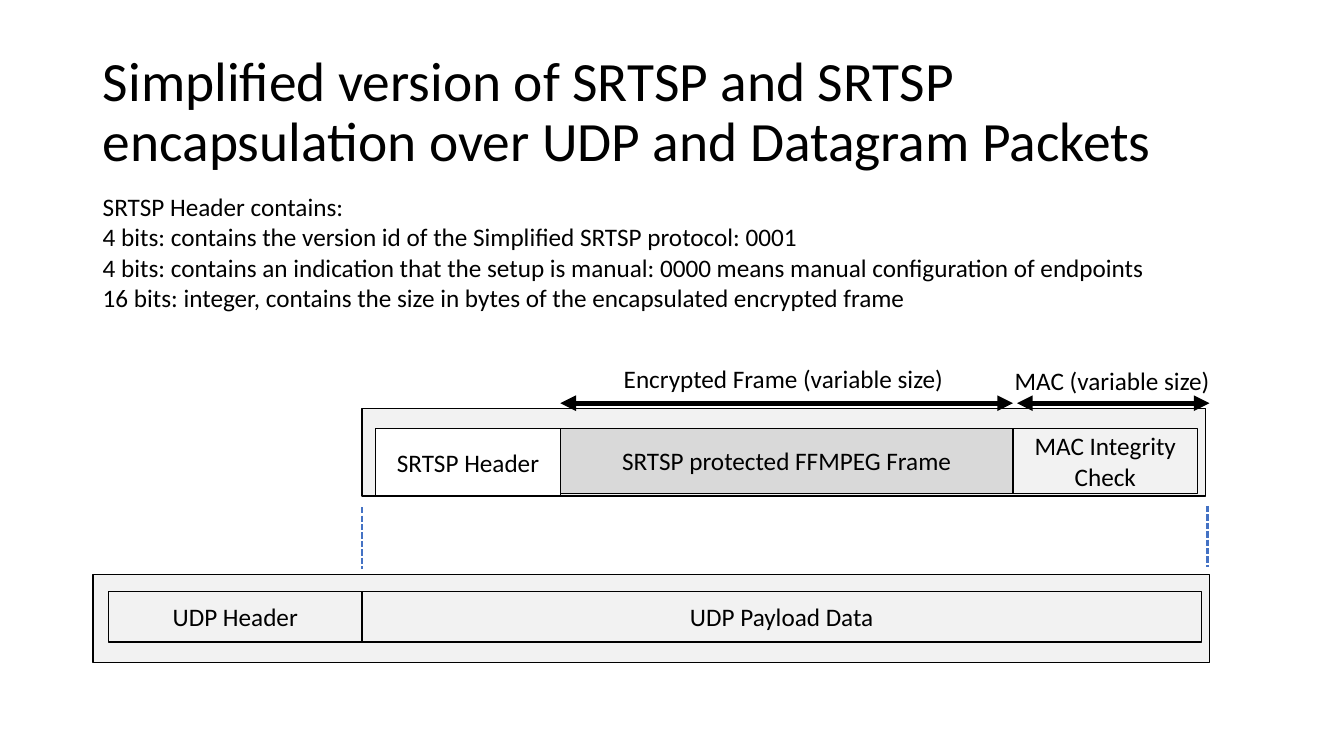
from dataclasses import dataclass
from typing import Any

from lxml import etree
from pptx import Presentation
from pptx import util as u
from pptx.dml.color import RGBColor
from pptx.enum import dml, shapes, text
from pptx.oxml import ns

COLOURS = {
    "ink": "000000",
    "panel": "F2F2F2",
    "header": "FFFFFF",
    "frame": "D9D9D9",
    "guide": "4472C4",
}
TITLE_FORMAT = {"name": "Calibri", "size": u.Pt(39.6), "bold": False}
BODY_FORMAT = {"name": "Calibri", "size": u.Pt(18)}

PAYLOAD_LEFT = 9.12
FRAME_LEFT = 14.12
FRAME_RIGHT = 25.53
PACKET_HEIGHT = 2.21
UDP_TOP = 14.91
SRTSP_TOP = 10.8
ARROW_Y = 10.16


@dataclass(frozen=True)
class Field:
    left: float
    top: float
    right: float
    height: float
    fill: str = "panel"
    label: str = ""


@dataclass(frozen=True)
class Caption:
    left: float
    top: float
    width: float
    height: float
    lines: tuple[str, ...]


@dataclass(frozen=True)
class Rule:
    start: tuple[float, float]
    end: tuple[float, float]
    colour: str
    weight: float
    dash: Any = None
    arrows: bool = False


FIELDS = (
    Field(PAYLOAD_LEFT, 10.29, 30.38, PACKET_HEIGHT),
    Field(2.34, 14.48, 30.48, PACKET_HEIGHT),
    Field(2.74, UDP_TOP, PAYLOAD_LEFT, 1.27, label="UDP Header"),
    Field(PAYLOAD_LEFT, UDP_TOP, 30.28, 1.27, label="UDP Payload Data"),
    Field(9.47, SRTSP_TOP, FRAME_LEFT, 1.7, "header", "SRTSP Header"),
    Field(FRAME_LEFT, SRTSP_TOP, FRAME_RIGHT, 1.63, "frame", "SRTSP protected FFMPEG Frame"),
    Field(FRAME_RIGHT, SRTSP_TOP, 30.18, 1.63, label="MAC Integrity Check"),
)
RULES = (
    Rule((FRAME_LEFT, ARROW_Y), (FRAME_RIGHT, ARROW_Y), "ink", 3.75, arrows=True),
    Rule((25.63, ARROW_Y), (30.48, ARROW_Y), "ink", 3.75, arrows=True),
    Rule((PAYLOAD_LEFT, 12.78), (PAYLOAD_LEFT, 14.35), "guide", 1.5, dml.MSO_LINE.SQUARE_DOT),
    Rule((30.43, 12.75), (30.43, 14.3), "guide", 1.5, dml.MSO_LINE.SQUARE_DOT),
)
CAPTIONS = (
    Caption(15.47, 9.02, 8.66, 1.02, ("Encrypted Frame (variable size)",)),
    Caption(25.32, 9.07, 5.49, 1.02, ("MAC (variable size)",)),
    Caption(2.34, 4.7, 26.9, 3.33, (
        "SRTSP Header contains:",
        "4 bits: contains the version id of the Simplified SRTSP protocol: 0001",
        "4 bits: contains an indication that the setup is manual: 0000 means manual configuration of endpoints",
        "16 bits: integer, contains the size in bytes of the encapsulated encrypted frame",
    )),
)


def colour(name: str) -> RGBColor:
    return RGBColor.from_string(COLOURS[name])


def apply_font(paragraph: Any, values: dict[str, Any]) -> None:
    for attribute, value in values.items():
        setattr(paragraph.font, attribute, value)
    paragraph.font.color.rgb = colour("ink")


def draw_title(slide: Any, wording: str) -> None:
    heading = slide.shapes.title
    bounds = {"left": 2.34, "top": 1.02, "width": 29.21, "height": 3.68}
    for attribute, length in bounds.items():
        setattr(heading, attribute, u.Cm(length))
    frame = heading.text_frame
    frame.text = wording
    frame.auto_size = text.MSO_AUTO_SIZE.NONE
    frame.vertical_anchor = text.MSO_ANCHOR.MIDDLE
    paragraph = frame.paragraphs[0]
    paragraph.alignment = text.PP_ALIGN.LEFT
    paragraph.line_spacing = 0.9
    apply_font(paragraph, TITLE_FORMAT)


def draw_field(slide: Any, field: Field) -> None:
    block = slide.shapes.add_shape(
        shapes.MSO_SHAPE.RECTANGLE,
        u.Cm(field.left), u.Cm(field.top),
        u.Cm(field.right - field.left), u.Cm(field.height),
    )
    block.shadow.inherit = False
    block.fill.solid()
    block.fill.fore_color.rgb = colour(field.fill)
    block.line.color.rgb = colour("ink")
    block.line.width = u.Pt(1)
    if field.label:
        frame = block.text_frame
        frame.text = field.label
        frame.word_wrap = True
        frame.vertical_anchor = text.MSO_ANCHOR.MIDDLE
        frame.paragraphs[0].alignment = text.PP_ALIGN.CENTER
        apply_font(frame.paragraphs[0], BODY_FORMAT)


def draw_rule(slide: Any, rule: Rule) -> None:
    connector = slide.shapes.add_connector(
        shapes.MSO_CONNECTOR.STRAIGHT,
        *(u.Cm(length) for length in rule.start + rule.end),
    )
    connector.line.color.rgb = colour(rule.colour)
    connector.line.width = u.Pt(rule.weight)
    if rule.dash is not None:
        connector.line.dash_style = rule.dash
    properties = connector.element.spPr
    if rule.arrows:
        outline = properties.find(ns.qn("a:ln"))
        for end in ("a:headEnd", "a:tailEnd"):
            etree.SubElement(outline, ns.qn(end), type="triangle")
    etree.SubElement(properties, ns.qn("a:effectLst"))


def draw_caption(slide: Any, caption: Caption) -> None:
    box = slide.shapes.add_textbox(
        u.Cm(caption.left), u.Cm(caption.top),
        u.Cm(caption.width), u.Cm(caption.height),
    )
    frame = box.text_frame
    frame.word_wrap = False
    frame.auto_size = text.MSO_AUTO_SIZE.SHAPE_TO_FIT_TEXT
    frame.text = "\n".join(caption.lines)
    for paragraph in frame.paragraphs:
        apply_font(paragraph, BODY_FORMAT)


def main() -> None:
    deck = Presentation()
    deck.slide_width, deck.slide_height = u.Cm(33.87), u.Cm(19.05)
    slide = deck.slides.add_slide(deck.slide_layouts.get_by_name("Title Only"))
    draw_title(slide, "Simplified version of SRTSP and SRTSP encapsulation over UDP and Datagram Packets")
    for field in FIELDS:
        draw_field(slide, field)
    for rule in RULES:
        draw_rule(slide, rule)
    for caption in CAPTIONS:
        draw_caption(slide, caption)
    deck.save("out.pptx")


if __name__ == "__main__":
    main()
